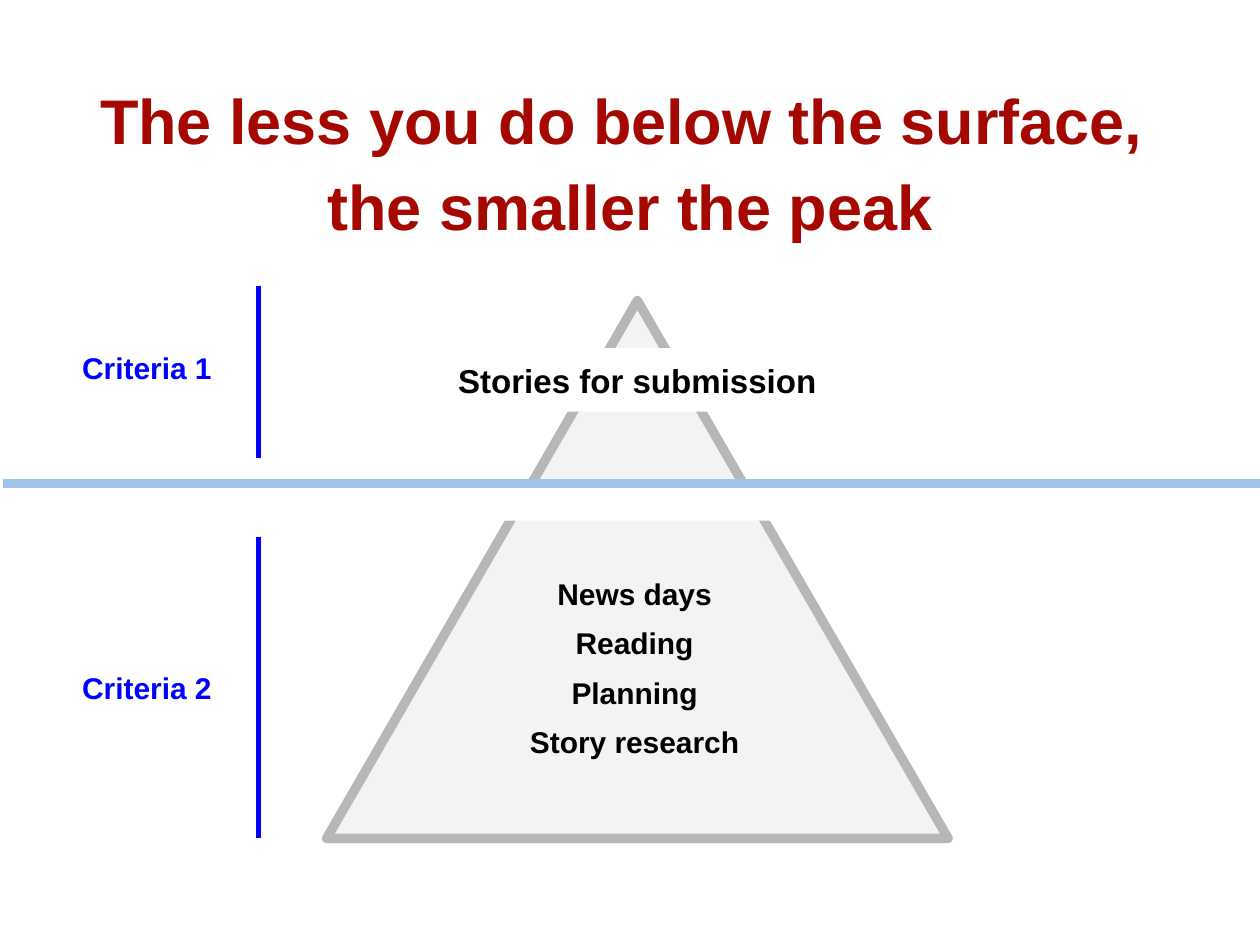
import dataclasses

import pptx
import pptx.dml.color
import pptx.enum.shapes
import pptx.enum.text
import pptx.oxml
import pptx.oxml.ns
import pptx.util

Inches = pptx.util.Inches
Pt = pptx.util.Pt
SHAPE = pptx.enum.shapes.MSO_SHAPE
ANCHOR = pptx.enum.text.MSO_ANCHOR


@dataclasses.dataclass(frozen=True)
class Theme:
    font: str = "Arial"
    white: str = "FFFFFF"
    black: str = "000000"
    red: str = "A40800"
    blue: str = "0000FF"
    water: str = "9FC5E8"
    pale: str = "F3F3F3"
    grey: str = "B7B7B7"
    title: int = 40
    peak: int = 21
    label: int = 19


THEME = Theme()
WIDTH, HEIGHT = 11.11, 8.33


def color(code):
    return pptx.dml.color.RGBColor.from_string(code)


def place(shape, left, top, width, height):
    shape.left, shape.top = Inches(left), Inches(top)
    shape.width, shape.height = Inches(width), Inches(height)


def write(shape, text, size, ink, inset=0.1, anchor=ANCHOR.TOP):
    """Put one centred bold paragraph into a shape."""
    frame = shape.text_frame
    frame.text = text
    frame.word_wrap = True
    frame.auto_size = pptx.enum.text.MSO_AUTO_SIZE.NONE
    frame.vertical_anchor = anchor
    frame.margin_left = frame.margin_right = Inches(inset)
    frame.margin_top = frame.margin_bottom = Inches(inset)
    para = frame.paragraphs[0]
    para.alignment = pptx.enum.text.PP_ALIGN.CENTER
    para.font.name, para.font.size = THEME.font, Pt(size)
    para.font.bold = True
    para.font.color.rgb = color(ink)
    return para


def add_title(slide, text):
    title = slide.shapes.title
    place(title, 0, 0.55, WIDTH, 1.67)
    para = write(title, text, THEME.title, THEME.red, 0.04, ANCHOR.MIDDLE)
    para.line_spacing = 1.14


def add_solid(slide, kind, box, fill):
    shape = slide.shapes.add_shape(kind, *map(Inches, box))
    shape.shadow.inherit = False
    shape.fill.solid()
    shape.fill.fore_color.rgb = color(fill)
    shape.line.fill.background()
    return shape


def add_label(slide, text, left, top, ink, width=2.59):
    box = slide.shapes.add_textbox(*map(Inches, (left, top, width, 0.52)))
    write(box, text, THEME.label, ink)


def add_rule(slide, start, end, ink, weight):
    rule = slide.shapes.add_connector(
        pptx.enum.shapes.MSO_CONNECTOR.STRAIGHT, *map(Inches, start + end))
    rule.line.color.rgb = color(ink)
    rule.line.width = Pt(weight)
    props = rule.element.spPr
    props.append(pptx.oxml.parse_xml(
        f"<a:effectLst {pptx.oxml.ns.nsdecls('a')}/>"))


def add_peak(slide):
    peak = add_solid(slide, SHAPE.ISOSCELES_TRIANGLE,
                     (2.88, 2.65, 5.48, 4.74), THEME.pale)
    peak.line.color.rgb = color(THEME.grey)
    peak.line.width = Pt(6)
    # Round corners on the outline
    outline = peak.element.spPr.find(pptx.oxml.ns.qn("a:ln"))
    outline.append(pptx.oxml.parse_xml(
        f"<a:round {pptx.oxml.ns.nsdecls('a')}/>"))


def main():
    deck = pptx.Presentation()
    deck.slide_width, deck.slide_height = Inches(WIDTH), Inches(HEIGHT)
    slide = deck.slides.add_slide(deck.slide_layouts[5])
    add_title(slide,
              "The less you do below the surface, \vthe smaller the peak")

    # Pyramid, cut by the water line
    add_peak(slide)
    add_solid(slide, SHAPE.RECTANGLE, (2.83, 4.26, 5.96, 0.33), THEME.white)
    add_rule(slide, (0.03, 4.26), (WIDTH, 4.26), THEME.water, 6)

    # Above the surface
    band = add_solid(slide, SHAPE.RECTANGLE,
                     (1.19, 3.07, 8.86, 0.56), THEME.white)
    write(band, "Stories for submission", THEME.peak, THEME.black,
          anchor=ANCHOR.MIDDLE)

    # Below the surface
    tasks = ("News days", "Reading", "Planning", "Story research")
    for row, task in enumerate(tasks):
        add_label(slide, task, 4.3, 4.97 + row * 1.31 / 3, THEME.black)

    # Criteria with their side bars
    for text, top, start, end in (("Criteria 1", 2.98, 2.52, 4.04),
                                  ("Criteria 2", 5.8, 4.73, 7.39)):
        add_label(slide, text, 0, top, THEME.blue)
        add_rule(slide, (2.28, start), (2.28, end), THEME.blue, 3)

    deck.save("out.pptx")


if __name__ == "__main__":
    main()
